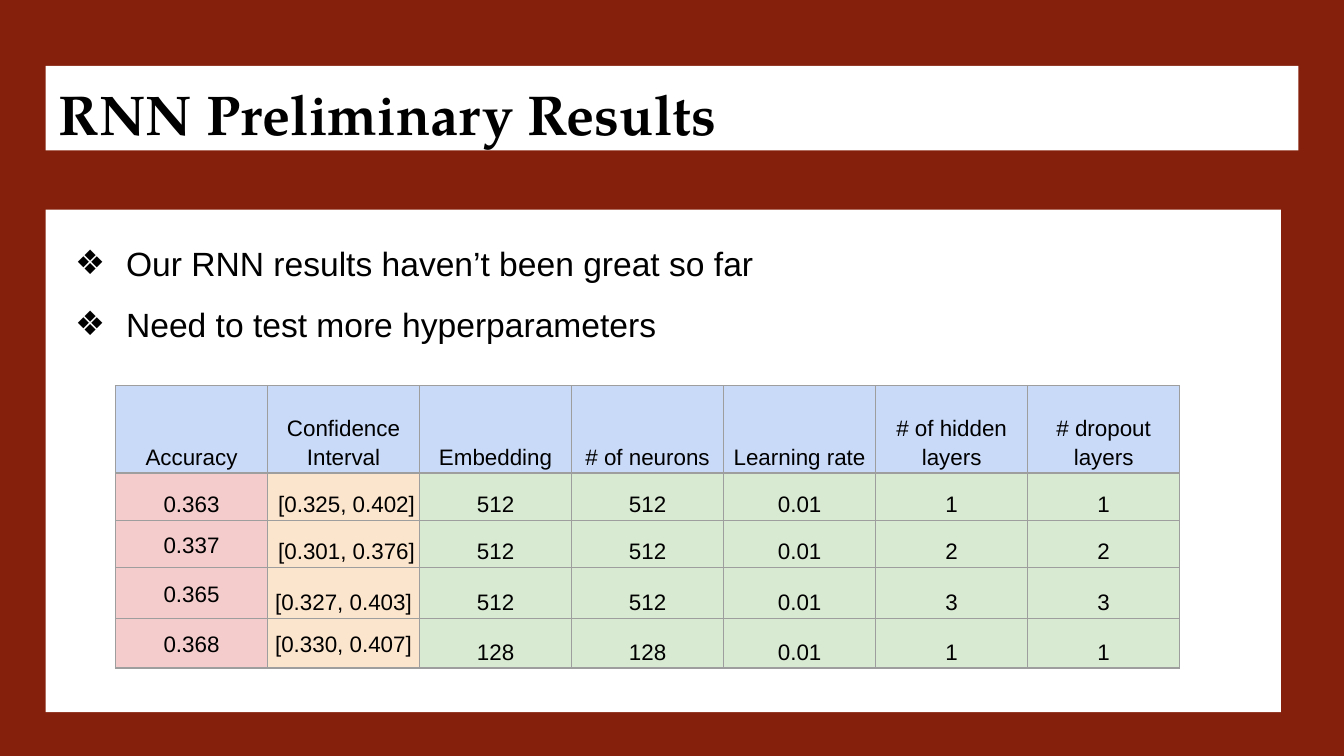
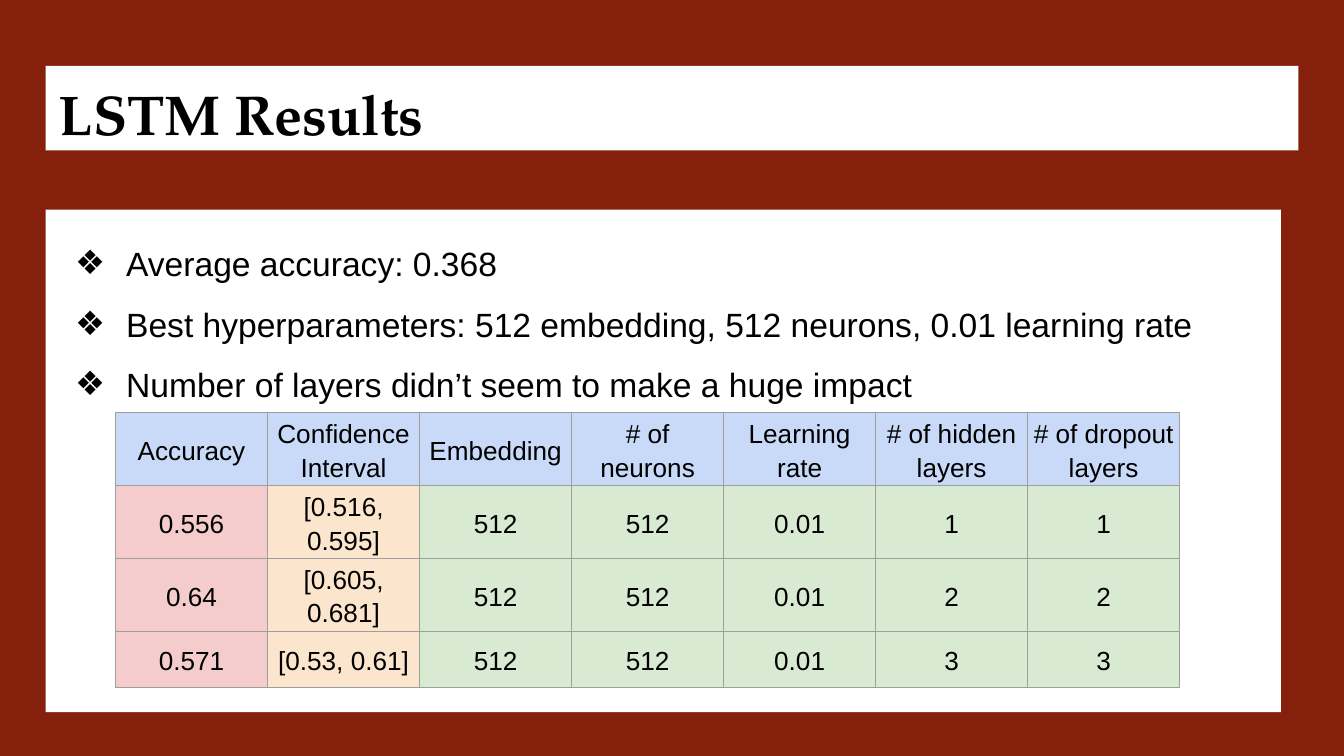
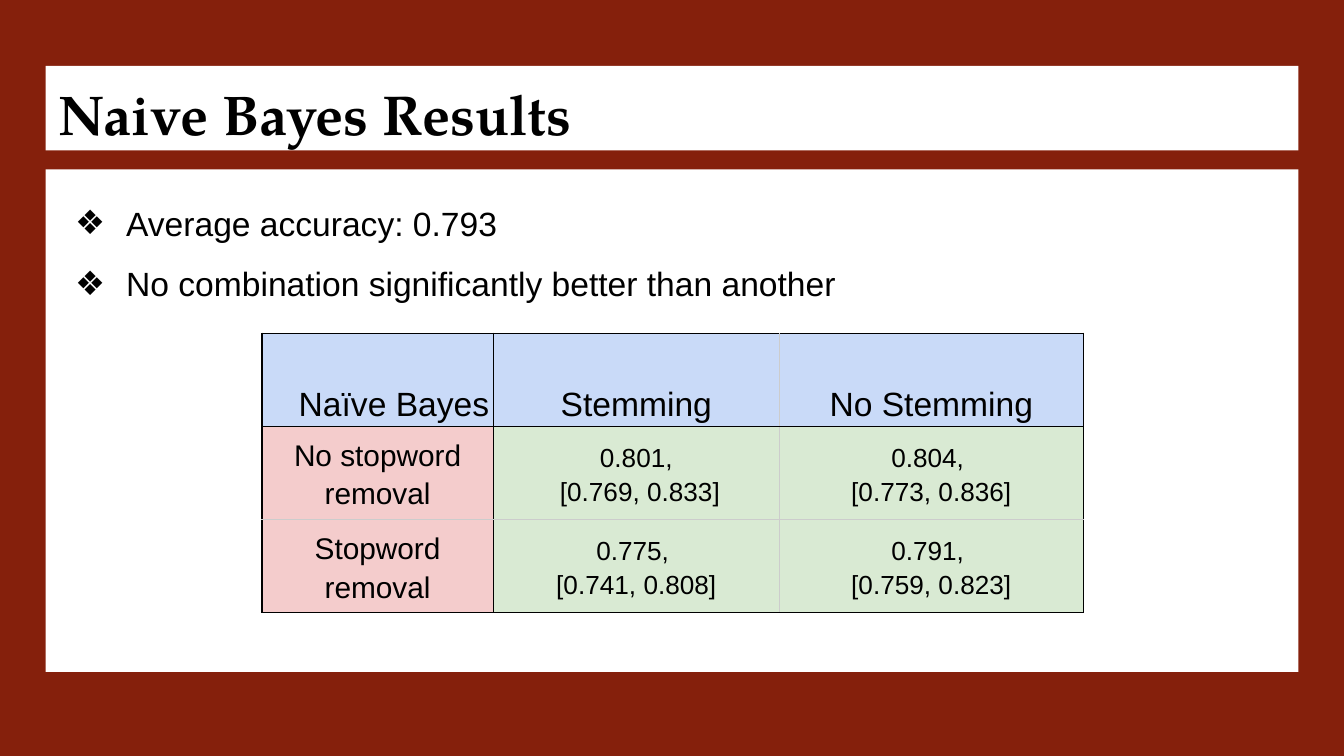
from lxml.etree import SubElement
from pptx import Presentation
from pptx.dml.color import RGBColor
from pptx.enum.shapes import MSO_SHAPE as Shape
from pptx.enum.text import MSO_ANCHOR as Anchor, PP_ALIGN as Align
from pptx.oxml.ns import qn
from pptx.util import Inches, Pt

BRICK = RGBColor(0x85, 0x20, 0x0C)
WHITE = RGBColor(0xFF, 0xFF, 0xFF)
BLACK = RGBColor(0x00, 0x00, 0x00)
GRAY = RGBColor(0x9E, 0x9E, 0x9E)
SILVER = RGBColor(0xCC, 0xCC, 0xCC)
BLUE = RGBColor(0xC9, 0xDA, 0xF8)
PINK = RGBColor(0xF4, 0xCC, 0xCC)
PEACH = RGBColor(0xFC, 0xE5, 0xCD)
GREEN = RGBColor(0xD9, 0xEA, 0xD3)

TITLE_FONT = "TeX Gyre Pagella"
BODY_FONT = "Arial"
METRIC_WIDTHS = [7.92 / 7] * 7
METRIC_FILLS = [PINK, PEACH] + [GREEN] * 5


class Deck:
    def __init__(self):
        self.file = Presentation()
        self.file.slide_width = Inches(10)
        self.file.slide_height = Inches(10 * 9 / 16)
        self.page = None

    def new_page(self, title, bullets, body_top=1.56, body_width=9.19):
        self.page = self.file.slides.add_slide(self.file.slide_layouts[6])
        background = self.page.background.fill
        background.solid()
        background.fore_color.rgb = BRICK
        frame = self.panel(0.49, 9.32, 0.63)
        frame.text = title
        self.style(frame.paragraphs[0], 30, TITLE_FONT, bold=True)
        self.bullets(self.panel(body_top, body_width, 3.74), bullets)

    def panel(self, top, width, height):
        box = self.page.shapes.add_shape(
            Shape.RECTANGLE, Inches(0.34), Inches(top), Inches(width), Inches(height))
        box.shadow.inherit = False
        box.fill.solid()
        box.fill.fore_color.rgb = WHITE
        box.line.fill.background()
        frame = box.text_frame
        frame.word_wrap = True
        frame.vertical_anchor = Anchor.TOP
        frame.margin_left = frame.margin_right = Inches(0.1)
        frame.margin_top = frame.margin_bottom = Inches(0.1)
        return frame

    def style(self, para, size, font=BODY_FONT, bold=False, align=Align.LEFT):
        para.alignment = align
        para.font.name = font
        para.font.size = Pt(size)
        para.font.bold = bold
        para.font.color.rgb = BLACK

    def bullets(self, frame, lines):
        frame.text = "\n".join(lines)
        for para in frame.paragraphs:
            para.line_spacing = 1.5
            properties = para._p.get_or_add_pPr()
            properties.set("marL", str(Inches(0.5)))
            properties.set("indent", str(Inches(-0.38)))
            color = SubElement(properties, qn("a:buClr"))
            SubElement(color, qn("a:srgbClr"), val=str(BLACK))
            SubElement(properties, qn("a:buSzPts"), val="1800")
            SubElement(properties, qn("a:buFont"), typeface=BODY_FONT)
            SubElement(properties, qn("a:buChar"), char="❖")
            self.style(para, 18)

    def table(self, left, top, widths, heights, rows, fills, sizes,
              header_anchor=Anchor.MIDDLE, value_anchor=Anchor.MIDDLE,
              edge=GRAY, inner=GRAY):
        header_size, label_size, value_size = sizes
        grid = self.page.shapes.add_table(
            len(rows), len(widths), Inches(left), Inches(top),
            Inches(sum(widths)), Inches(sum(heights))).table
        grid.first_row = grid.horz_banding = False
        for column, width in zip(grid.columns, widths):
            column.width = Inches(width)
        for row, height in zip(grid.rows, heights):
            row.height = Inches(height)
        for r, texts in enumerate(rows):
            for c, text in enumerate(texts):
                cell = grid.cell(r, c)
                self.borders(cell, [
                    inner if c > 1 else edge,
                    inner if 0 < c < len(widths) - 1 else edge,
                    inner if r > 1 else edge,
                    inner if 0 < r < len(rows) - 1 else edge])
                cell.fill.solid()
                cell.fill.fore_color.rgb = fills[c] if r else BLUE
                cell.margin_left = cell.margin_right = Inches(0.03)
                cell.margin_top = cell.margin_bottom = Inches(0.02)
                cell.vertical_anchor = value_anchor if r else header_anchor
                cell.text = text
                size = header_size if r == 0 else label_size if c == 0 else value_size
                for para in cell.text_frame.paragraphs:
                    para.line_spacing = 1.15
                    self.style(para, size, align=Align.CENTER)
        return grid

    def borders(self, cell, colors):
        properties = cell._tc.get_or_add_tcPr()
        for side, color in zip("LRTB", colors):
            line = SubElement(properties, qn(f"a:ln{side}"), w=str(Pt(0.75)))
            fill = SubElement(line, qn("a:solidFill"))
            SubElement(fill, qn("a:srgbClr"), val=str(color))


def rnn_page(deck):
    deck.new_page("RNN Preliminary Results", [
        "Our RNN results haven’t been great so far",
        "Need to test more hyperparameters"])
    rows = [
        ["Accuracy", "Confidence Interval", "Embedding", "# of neurons",
         "Learning rate", "# of hidden layers", "# dropout layers"],
        ["0.363", " [0.325, 0.402]", "512", "512", "0.01", "1", "1"],
        ["0.337", " [0.301, 0.376]", "512", "512", "0.01", "2", "2"],
        ["0.365", "[0.327, 0.403]", "512", "512", "0.01", "3", "3"],
        ["0.368", "[0.330, 0.407]", "128", "128", "0.01", "1", "1"]]
    grid = deck.table(0.86, 2.87, METRIC_WIDTHS, [0.65, 0.35, 0.35, 0.38, 0.37],
                      rows, METRIC_FILLS, (12, 12, 12),
                      header_anchor=Anchor.BOTTOM, value_anchor=Anchor.BOTTOM)
    for r, c in [(2, 0), (3, 0), (4, 0), (4, 1)]:
        grid.cell(r, c).vertical_anchor = Anchor.MIDDLE


def lstm_page(deck):
    deck.new_page("LSTM Results", [
        "Average accuracy: 0.368",
        "Best hyperparameters: 512 embedding, 512 neurons, 0.01 learning rate",
        "Number of layers didn’t seem to make a huge impact"])
    rows = [
        ["Accuracy", "Confidence Interval", "Embedding", "# of neurons",
         "Learning rate", "# of hidden layers", "# of dropout layers"],
        ["0.556", "[0.516, 0.595]", "512", "512", "0.01", "1", "1"],
        ["0.64", "[0.605, 0.681]", "512", "512", "0.01", "2", "2"],
        ["0.571", "[0.53, 0.61]", "512", "512", "0.01", "3", "3"]]
    deck.table(0.86, 3.07, METRIC_WIDTHS, [0.54, 0.54, 0.54, 0.42],
               rows, METRIC_FILLS, (14, 14, 14))


def bayes_page(deck):
    deck.new_page("Naive Bayes Results", [
        "Average accuracy: 0.793",
        "No combination significantly better than another"],
        body_top=1.26, body_width=9.32)
    rows = [
        ["Naïve Bayes", "Stemming", "No Stemming"],
        ["No stopword removal", "0.801,\n [0.769, 0.833]", "0.804, \n[0.773, 0.836]"],
        ["Stopword removal", "0.775, \n[0.741, 0.808]", "0.791, \n[0.759, 0.823]"]]
    grid = deck.table(1.95, 2.48, [1.72, 2.13, 2.26], [2.08 / 3] * 3,
                      rows, [PINK, GREEN, GREEN], (18, 16, 14),
                      header_anchor=Anchor.BOTTOM, edge=BLACK, inner=SILVER)
    grid.cell(0, 0).text_frame.paragraphs[0].alignment = Align.RIGHT
    for side_cell, colors in [
            (grid.cell(0, 1), "R"), (grid.cell(0, 2), "L")]:
        side_cell._tc.tcPr.find(qn(f"a:ln{colors}"))


def main():
    deck = Deck()
    rnn_page(deck)
    lstm_page(deck)
    bayes_page(deck)
    deck.file.save("out.pptx")


if __name__ == "__main__":
    main()
